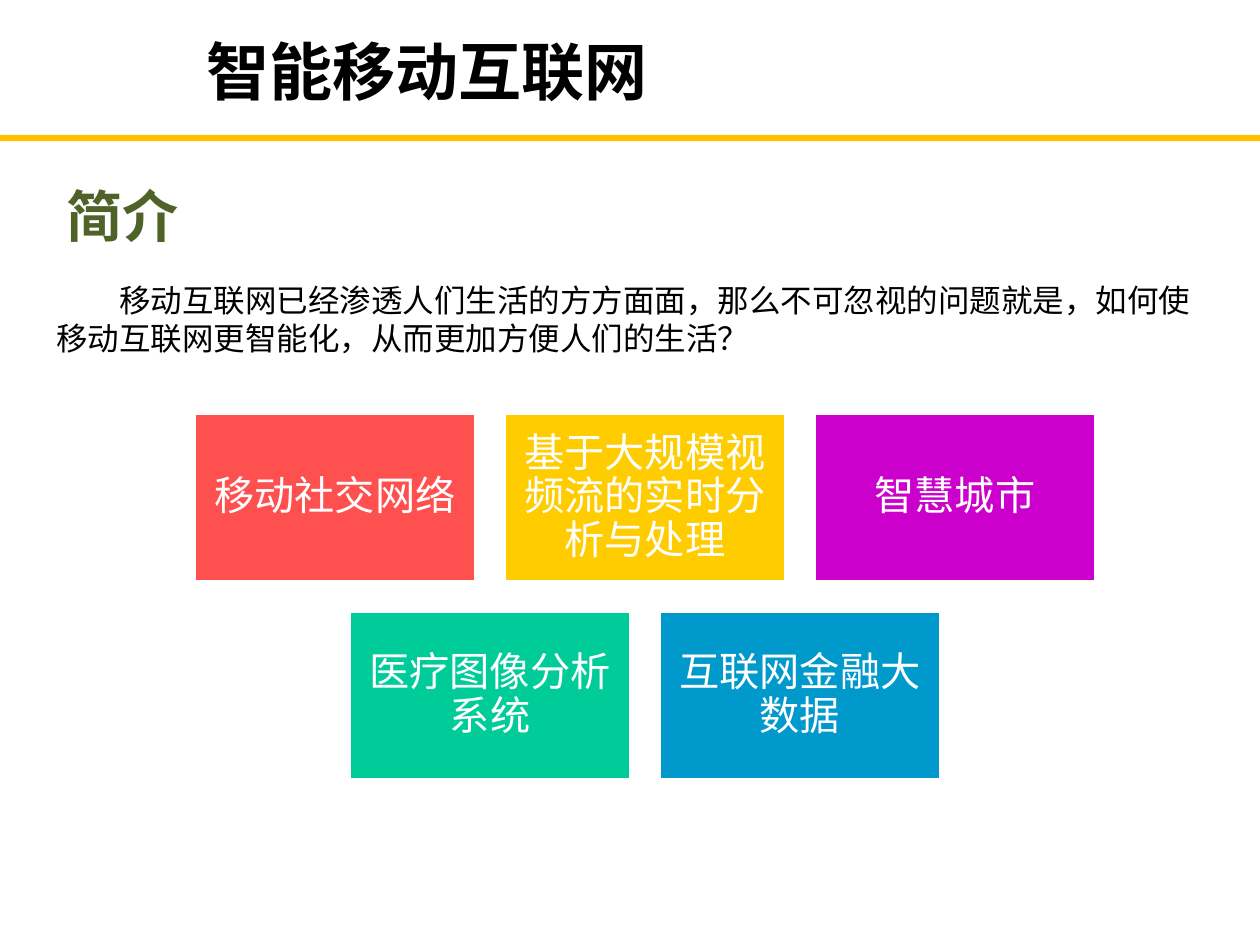
from dataclasses import dataclass

from pptx import Presentation
from pptx.dml.color import RGBColor
from pptx.enum.shapes import MSO_SHAPE
from pptx.enum.text import MSO_ANCHOR, PP_ALIGN
from pptx.slide import Slide
from pptx.text.text import _Paragraph as Paragraph
from pptx.util import Inches, Pt

RECTANGLE = MSO_SHAPE.RECTANGLE
MIDDLE = MSO_ANCHOR.MIDDLE
CENTER = PP_ALIGN.CENTER

CARD_WIDTH, CARD_HEIGHT = 2.24, 1.34
COLUMN_STEP, ROW_STEP = 2.46, 1.57
CARDS_CENTER, CARDS_TOP = 5.12, 3.28


@dataclass(frozen=True)
class Card:
    text: str
    fill: str


@dataclass(frozen=True)
class TextBlock:
    text: str
    left: float
    top: float
    width: float
    height: float
    size: float
    font: str = "Calibri"
    color: str = "000000"
    bold: bool = False
    wrap: bool = True
    indent: float = 0


TEXT_BLOCKS = [
    TextBlock("智能移动互联网", 1.54, 0.21, 4.09, 0.71, 36, font="Arial", bold=True),
    TextBlock(
        "移动互联网已经渗透人们生活的方方面面，那么不可忽视的问题就是，"
        "如何使移动互联网更智能化，从而更加方便人们的生活？",
        0.35, 2.18, 9.37, 0.71, 18, indent=0.5,
    ),
    TextBlock("简介", 0.43, 1.39, 1.1, 0.64, 32, color="4F6228", bold=True, wrap=False),
]

CARD_ROWS = [
    [
        Card("移动社交网络", "FF5050"),
        Card("基于大规模视频流的实时分析与处理", "FFCC00"),
        Card("智慧城市", "CC00CC"),
    ],
    [
        Card("医疗图像分析系统", "00CC99"),
        Card("互联网金融大数据", "0099CC"),
    ],
]


def rgb(value: str) -> RGBColor:
    """Turn a hex string into a colour."""
    return RGBColor.from_string(value)


def style_paragraph(
    paragraph: Paragraph, text: str, size: float, font: str, color: str, bold: bool = False
) -> None:
    """Write the text of a paragraph and set its font."""
    paragraph.text = text
    paragraph.font.size = Pt(size)
    paragraph.font.name = font
    paragraph.font.bold = bold
    paragraph.font.color.rgb = rgb(color)


def draw_divider(slide: Slide) -> None:
    """Draw the band below the title."""
    shape = slide.shapes.add_shape(RECTANGLE, 0, Inches(1.07), Inches(10), Inches(0.05))
    shape.shadow.inherit = False
    shape.fill.solid()
    shape.fill.fore_color.rgb = rgb("FFC000")
    shape.line.fill.background()


def draw_text(slide: Slide, block: TextBlock) -> None:
    """Draw one text box."""
    shape = slide.shapes.add_textbox(
        Inches(block.left), Inches(block.top), Inches(block.width), Inches(block.height)
    )
    shape.text_frame.word_wrap = block.wrap
    paragraph = shape.text_frame.paragraphs[0]
    style_paragraph(paragraph, block.text, block.size, block.font, block.color, block.bold)
    if block.indent:
        paragraph._p.get_or_add_pPr().set("indent", str(Inches(block.indent)))


def draw_card(slide: Slide, card: Card, left: float, top: float) -> None:
    """Draw one coloured topic card."""
    shape = slide.shapes.add_shape(
        RECTANGLE, Inches(left), Inches(top), Inches(CARD_WIDTH), Inches(CARD_HEIGHT)
    )
    shape.shadow.inherit = False
    shape.fill.solid()
    shape.fill.fore_color.rgb = rgb(card.fill)
    shape.line.color.rgb = rgb("FFFFFF")
    shape.line.width = Pt(2)
    frame = shape.text_frame
    frame.word_wrap = True
    frame.vertical_anchor = MIDDLE
    frame.margin_left = frame.margin_right = Inches(0.1)
    frame.margin_top = frame.margin_bottom = Inches(0.1)
    paragraph = frame.paragraphs[0]
    style_paragraph(paragraph, card.text, 23, "Calibri", "FFFFFF")
    paragraph.alignment = CENTER
    paragraph.line_spacing = 0.9


def draw_cards(slide: Slide) -> None:
    """Draw the card rows, each centred on the same axis."""
    for row, cards in enumerate(CARD_ROWS):
        row_width = (len(cards) - 1) * COLUMN_STEP + CARD_WIDTH
        row_left = CARDS_CENTER - row_width / 2
        for column, card in enumerate(cards):
            draw_card(slide, card, row_left + column * COLUMN_STEP, CARDS_TOP + row * ROW_STEP)


def main() -> None:
    """Build and save the slide."""
    presentation = Presentation()
    presentation.slide_width = Inches(10)
    presentation.slide_height = Inches(7.5)
    slide = presentation.slides.add_slide(presentation.slide_layouts[6])
    draw_divider(slide)
    for block in TEXT_BLOCKS:
        draw_text(slide, block)
    draw_cards(slide)
    presentation.save("out.pptx")


if __name__ == "__main__":
    main()
